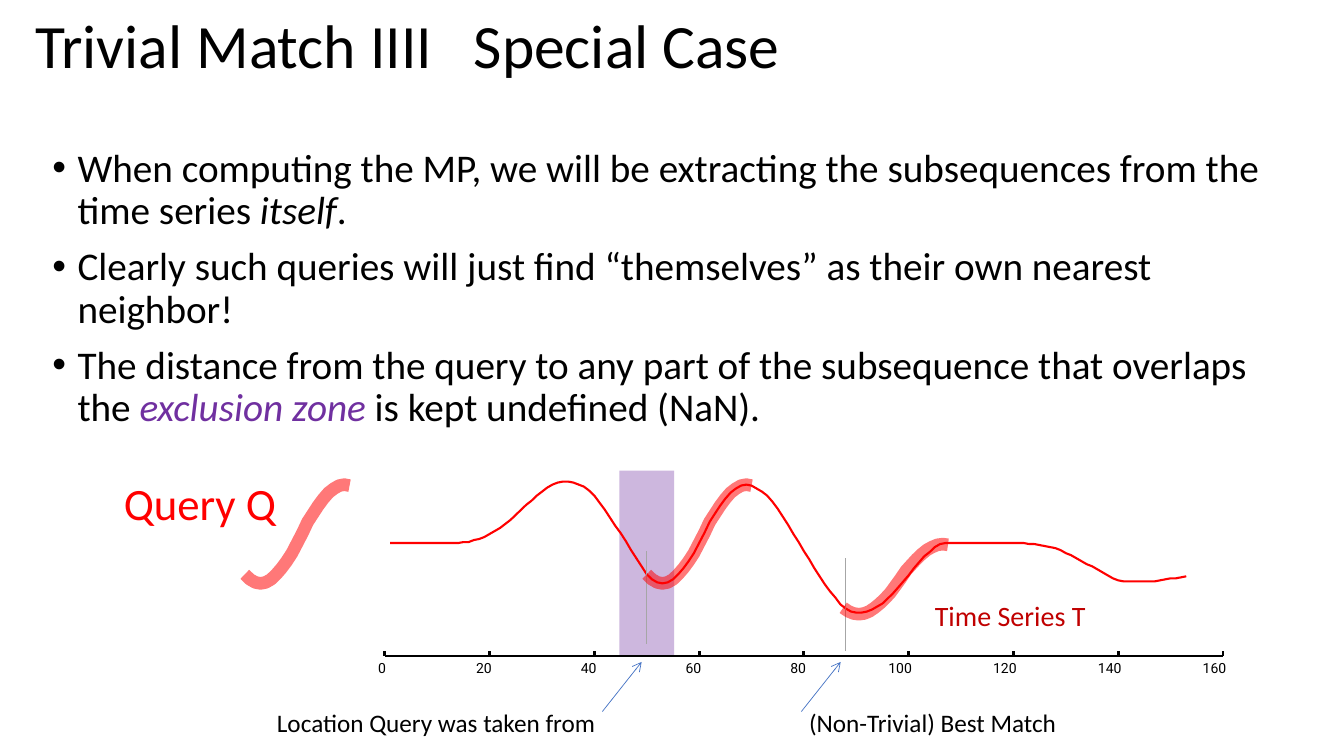
from dataclasses import dataclass

from lxml.etree import SubElement
from pptx import Presentation
from pptx.dml.color import RGBColor as Rgb
from pptx.enum.shapes import MSO_CONNECTOR as Connector, MSO_SHAPE as Shape
from pptx.enum.text import MSO_ANCHOR as Anchor
from pptx.oxml.ns import qn
from pptx.util import Cm, Pt


@dataclass(frozen=True)
class Theme:
    font: str = "Calibri"
    axis_font: str = "Roboto"
    ink: str = "000000"
    red: str = "FF0000"
    dark_red: str = "C00000"
    purple: str = "7030A0"
    zone: str = "CDB7DE"
    marker: str = "A6A6A6"
    arrow: str = "4472C4"
    title: int = 44
    body: int = 28
    query: int = 32
    series: int = 20
    caption: int = 18
    tick: int = 10


@dataclass(frozen=True)
class Box:
    """An area in centimetres."""
    left: float
    top: float
    width: float
    height: float

    @property
    def bottom(self):
        return self.top + self.height

    def lengths(self):
        return Cm(self.left), Cm(self.top), Cm(self.width), Cm(self.height)


THEME = Theme()
AXIS_END, TICK_STEP = 160, 20
SAMPLE = 0.132  # cm per sample along the time axis
LEVEL = 0.0254  # cm per unit of height above the axis
QUERY_START, QUERY_LENGTH, MATCH_START = 50, 21, 88
ZONE_RADIUS = 5.25

# Height of the time series at samples 1, 2, 3 ...
SERIES = [112] * 14 + [
    113, 113, 115, 116, 118, 121, 124, 127, 131, 135, 140, 145, 150, 154, 159,
    163, 167, 170, 172, 173, 173, 172, 170, 168, 164, 159, 152, 145, 137, 129,
    122, 114, 105, 97, 89, 81, 76, 73, 72, 73, 76, 81, 87, 94, 102, 112, 122,
    133, 141, 149, 156, 162, 166, 169, 170, 169, 166, 163, 159, 153, 146, 138,
    130, 121, 113, 104, 96, 87, 79, 71, 64, 58, 51, 47, 44, 43, 43, 44, 46, 49,
    52, 57, 62, 68, 74, 80, 87, 93, 99, 103, 108, 111,
] + [112] * 16 + [
    111, 111, 110, 109, 108, 107, 105, 102, 100, 97, 94, 91, 89, 86, 83, 80,
    77, 75, 74, 74, 74, 74, 74, 74, 74, 75, 76, 77, 77, 78, 79,
]
QUERY = SERIES[QUERY_START - 1:QUERY_START - 1 + QUERY_LENGTH]
# The best match has the query's shape, but is flatter and lower
MATCH = [111 + 0.71 * (level - max(QUERY)) for level in QUERY]

BULLETS = [
    [("When computing the MP, we will be extracting the subsequences from "
      "the time series ", THEME.ink, False),
     ("itself", THEME.ink, True), (".", THEME.ink, False)],
    [("Clearly such queries will just find “themselves” as their own nearest "
      "neighbor!", THEME.ink, False)],
    [("The distance from the query to any part of the subsequence that "
      "overlaps the ", THEME.ink, False),
     ("exclusion zone ", THEME.purple, True),
     ("is kept undefined (NaN).", THEME.ink, False)],
]


def style_run(run, size, color, font=THEME.font, italic=False):
    run.font.name, run.font.size, run.font.italic = font, Pt(size), italic
    run.font.color.rgb = Rgb.from_string(color)


def add_frame(slide, box, inset=True):
    frame = slide.shapes.add_textbox(*box.lengths()).text_frame
    frame.word_wrap = True
    if not inset:
        frame.margin_left = frame.margin_right = 0
        frame.margin_top = frame.margin_bottom = 0
    return frame


def add_label(slide, box, text, size, color, font=THEME.font, inset=True,
              spacing=1.0):
    frame = add_frame(slide, box, inset)
    frame.text = text
    label = frame.paragraphs[0]
    label.line_spacing = spacing
    style_run(label.runs[0], size, color, font)
    return frame


def add_line(slide, start, end, color, width, arrow=False):
    line = slide.shapes.add_connector(
        Connector.STRAIGHT, *(Cm(length) for length in (*start, *end)))
    line.line.color.rgb = Rgb.from_string(color)
    line.line.width = Pt(width)
    if arrow:
        SubElement(line.line._get_or_add_ln(), qn("a:tailEnd"), type="arrow")
    SubElement(line._element.spPr, qn("a:effectLst"))


def add_curve(slide, levels, left, axis, width, opacity=100):
    points = [(Cm(left + i * SAMPLE), Cm(axis - level * LEVEL))
              for i, level in enumerate(levels)]
    builder = slide.shapes.build_freeform(*points[0])
    builder.add_line_segments(points[1:], close=False)
    curve = builder.convert_to_shape()
    curve.shadow.inherit = False
    curve.fill.background()
    curve.line.color.rgb = Rgb.from_string(THEME.red)
    curve.line.width = Pt(width)
    if opacity < 100:
        ink = curve.line._get_or_add_ln().find(".//" + qn("a:srgbClr"))
        SubElement(ink, qn("a:alpha"), val=str(opacity * 1000))


def add_highlight(slide, levels, left, axis):
    add_curve(slide, levels, left, axis, width=9, opacity=52)


def add_title(slide, box):
    frame = add_label(slide, box, "Trivial Match IIII\tSpecial Case",
                      THEME.title, THEME.ink, spacing=0.9)
    frame.vertical_anchor = Anchor.MIDDLE
    tabs = SubElement(frame.paragraphs[0]._p.get_or_add_pPr(), qn("a:tabLst"))
    SubElement(tabs, qn("a:tab"), pos=str(Cm(11.05)), algn="l")


def add_bullets(slide, box):
    frame = add_frame(slide, box)
    for i, parts in enumerate(BULLETS):
        bullet = frame.add_paragraph() if i else frame.paragraphs[0]
        props = bullet._p.get_or_add_pPr()
        props.set("marL", str(Cm(0.635)))
        props.set("indent", str(-Cm(0.635)))
        SubElement(props, qn("a:buFont"), typeface="Arial")
        SubElement(props, qn("a:buChar"), char="•")
        bullet.line_spacing = 0.9
        bullet.space_before = Pt(10 if i else 0)
        for text, color, italic in parts:
            run = bullet.add_run()
            run.text = text
            style_run(run, THEME.body, color, italic=italic)


def add_axis(slide, box):
    axis = box.bottom
    for value in range(0, AXIS_END + 1, TICK_STEP):
        x, digits = box.left + value * SAMPLE, len(str(value))
        add_line(slide, (x, axis), (x, axis - 0.13), THEME.ink, 0)
        add_label(slide, Box(x - 0.17 * digits, axis + 0.08, 0.36 * digits, 0.43),
                  str(value), THEME.tick, THEME.ink, THEME.axis_font, inset=False)
    add_line(slide, (box.left, axis), (box.left + box.width, axis), THEME.ink, 0)


def add_callout(slide, box, sample, marker_top, caption_left, text):
    x, axis = box.left + sample * SAMPLE, box.bottom
    top = box.top + marker_top
    add_line(slide, (x, top), (x, top + 2.34), THEME.marker, 0.5)
    add_line(slide, (x - 1.12, axis + 1.4), (x - 0.13, axis + 0.15),
             THEME.arrow, 0.5, arrow=True)
    add_label(slide, Box(box.left + caption_left, axis + 1.37, 9.3, 0.69), text,
              THEME.caption, THEME.ink, inset=False, spacing=0.9)


def add_time_series(slide, box):
    def at(sample):
        return box.left + sample * SAMPLE

    # Exclusion zone behind everything else
    zone = slide.shapes.add_shape(Shape.RECTANGLE, *Box(
        at(QUERY_START - ZONE_RADIUS), box.top,
        2 * ZONE_RADIUS * SAMPLE, box.height).lengths())
    zone.shadow.inherit = False
    zone.fill.solid()
    zone.fill.fore_color.rgb = Rgb.from_string(THEME.zone)
    zone.line.fill.background()

    # Axis, series and its name
    add_axis(slide, box)
    add_curve(slide, SERIES, at(1), box.bottom, width=1.5)
    add_label(slide, Box(box.left + 13.61, box.top + 3.1, 8, 1.12),
              "Time Series T", THEME.series, THEME.dark_red)

    # Query location and best match
    add_callout(slide, box, QUERY_START, 2.03, -2.72, "Location Query was taken from")
    add_callout(slide, box, MATCH_START, 2.21, 10.69, "(Non-Trivial) Best Match")
    add_highlight(slide, MATCH, at(MATCH_START - 0.5), box.bottom)
    add_highlight(slide, QUERY, at(QUERY_START), box.bottom)


def add_query(slide, box):
    add_label(slide, Box(box.left, box.top, 4.6, 1.63), "Query Q",
              THEME.query, THEME.red)
    add_highlight(slide, QUERY, box.left + 3.3, box.bottom)


def main():
    deck = Presentation()
    deck.slide_width, deck.slide_height = Cm(33.87), Cm(19.05)
    slide = deck.slides.add_slide(deck.slide_layouts[6])
    add_title(slide, Box(0.64, 0, 30.91, 2.46))
    add_bullets(slide, Box(1.07, 3.61, 30.91, 7.9))
    add_time_series(slide, Box(9.7, 11.86, AXIS_END * SAMPLE, 4.67))
    add_query(slide, Box(2.87, 11.86, 6, 4.67))
    deck.save("out.pptx")


if __name__ == "__main__":
    main()
